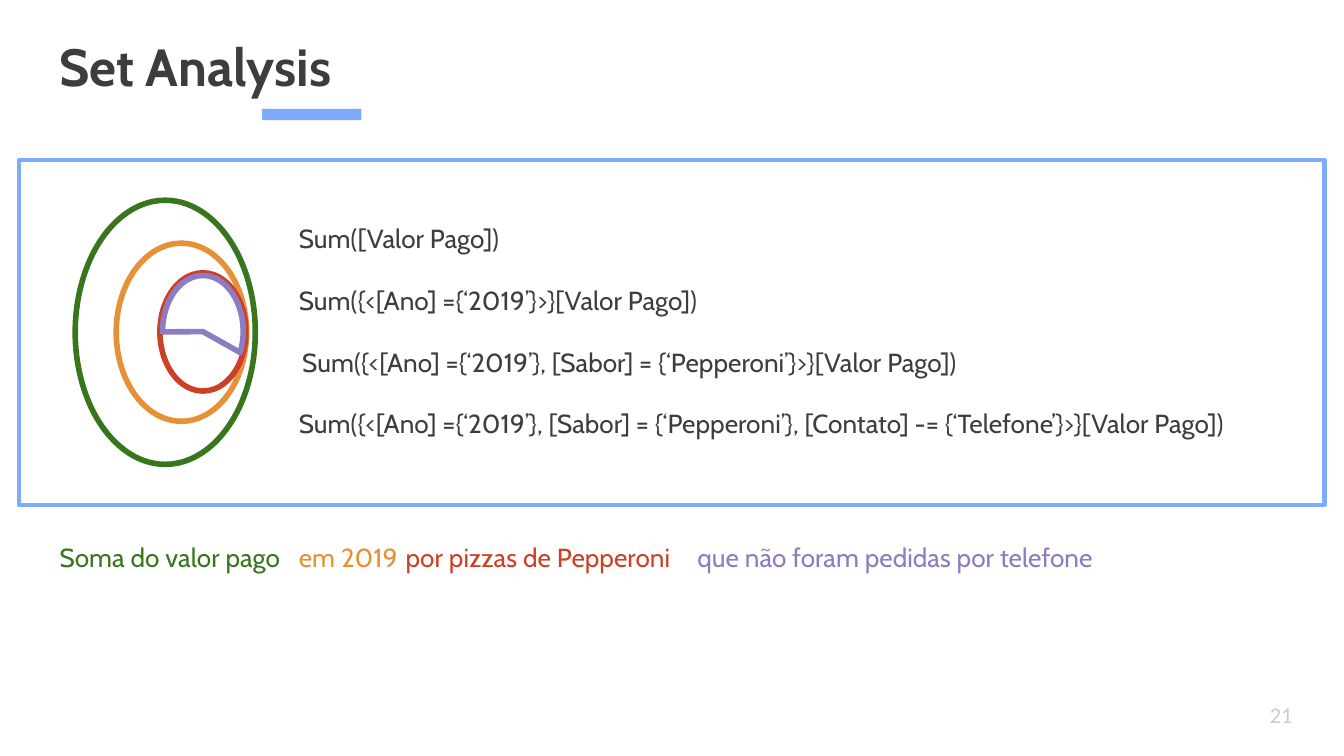
from dataclasses import dataclass

from pptx import Presentation
from pptx.dml.color import RGBColor
from pptx.enum.shapes import MSO_SHAPE
from pptx.enum.text import MSO_ANCHOR, MSO_AUTO_SIZE, PP_ALIGN
from pptx.util import Emu, Pt

SCALE = 4572  # EMU per px, 200 px to the inch


@dataclass(frozen=True)
class Theme:
    font: str = "Cabin"
    number_font: str = "Calibri"
    ink: str = "3D3D3D"
    accent: str = "7FABFF"
    muted: str = "CCCCCC"
    green: str = "38761D"
    orange: str = "E69138"
    red: str = "CC4125"
    purple: str = "8E7CC3"
    title_size: int = 28
    body_size: int = 14
    number_size: int = 12
    frame_line: float = 2.25
    set_line: float = 3
    inset: int = 20


T = Theme()


def px(n):
    return Emu(n * SCALE)


def write(sp, text, color, size=T.body_size, font=T.font, bold=False,
          anchor=MSO_ANCHOR.TOP):
    tf = sp.text_frame
    tf.word_wrap = True
    tf.auto_size = MSO_AUTO_SIZE.NONE
    tf.vertical_anchor = anchor
    tf.margin_left = tf.margin_right = px(T.inset)
    tf.margin_top = tf.margin_bottom = px(T.inset)
    p = tf.paragraphs[0]
    p.alignment = PP_ALIGN.LEFT
    r = p.add_run()
    r.text = text
    r.font.name, r.font.size, r.font.bold = font, Pt(size), bold
    r.font.color.rgb = RGBColor.from_string(color)


def add_text(s, box, text, color, **style):
    write(s.shapes.add_textbox(*map(px, box)), text, color, **style)


def add_shape(s, kind, box, fill=None, line=None, width=T.set_line):
    sp = s.shapes.add_shape(kind, *map(px, box))
    sp.shadow.inherit = False
    if fill:
        sp.fill.solid()
        sp.fill.fore_color.rgb = RGBColor.from_string(fill)
    else:
        sp.fill.background()
    if line:
        sp.line.color.rgb = RGBColor.from_string(line)
        sp.line.width = Pt(width)
    else:
        sp.line.fill.background()
    return sp


def add_heading(s, x, y, w, h):
    title = s.shapes.title
    title.left, title.top, title.width, title.height = map(px, (x, y, w, h))
    write(title, "Set Analysis", T.ink, size=T.title_size, bold=True)
    # Accent bar under the title
    add_shape(s, MSO_SHAPE.RECTANGLE, (x + 322, y + 131, 148, 17),
              fill=T.accent)


def add_nested_sets(s, x, y, w, h):
    sets = [
        (T.green, (x, y, w, h)),
        (T.orange, (x + 61, y + 64, 194, 265)),
        (T.red, (x + 126, y + 108, 128, 176)),
    ]
    for color, box in sets:
        add_shape(s, MSO_SHAPE.OVAL, box, line=color)
    # Part of the innermost set that is kept
    pie = add_shape(s, MSO_SHAPE.PIE, (x + 130, y + 112, 120, 167),
                    line=T.purple)
    pie.adjustments[0] = 107.716
    pie.adjustments[1] = 17.577


def add_formulas(s, x, y, w, row_h):
    formulas = [
        (0, "Sum([Valor Pago])"),
        (0, "Sum({<[Ano] ={‘2019’}>}[Valor Pago])"),
        (5, "Sum({<[Ano] ={‘2019’}, [Sabor] = {‘Pepperoni’}>}[Valor Pago])"),
        (0, "Sum({<[Ano] ={‘2019’}, [Sabor] = {‘Pepperoni’}, "
            "[Contato] -= {‘Telefone’}>}[Valor Pago])"),
    ]
    for i, (indent, text) in enumerate(formulas):
        add_text(s, (x + indent, y + i * row_h, w, row_h), text, T.ink)


def add_sentence(s, x, y, h):
    phrases = [
        (0, 398, "Soma do valor pago", T.green),
        (356, 206, "em 2019", T.orange),
        (515, 470, "por pizzas de Pepperoni", T.red),
        (949, 724, "que não foram pedidas por telefone", T.purple),
    ]
    for dx, w, text, color in phrases:
        add_text(s, (x + dx, y, w, h), text, color)


def add_panel(s, x, y, w, h):
    add_shape(s, MSO_SHAPE.RECTANGLE, (x, y, w, h), line=T.accent,
              width=T.frame_line)
    add_nested_sets(s, x + 84, y + 60, 268, 393)
    add_formulas(s, x + 397, y + 73, 1542, 92)


def main():
    prs = Presentation()
    prs.slide_width, prs.slide_height = px(2000), px(1125)
    s = prs.slides.add_slide(prs.slide_layouts[5])

    add_heading(s, 68, 31, 1864, 126)
    add_panel(s, 28, 238, 1943, 513)
    add_sentence(s, 69, 786, 92)
    # Page number
    add_text(s, (1870, 1021, 120, 86), "21", T.muted, size=T.number_size,
             font=T.number_font, anchor=MSO_ANCHOR.MIDDLE)

    prs.save("out.pptx")


if __name__ == "__main__":
    main()
